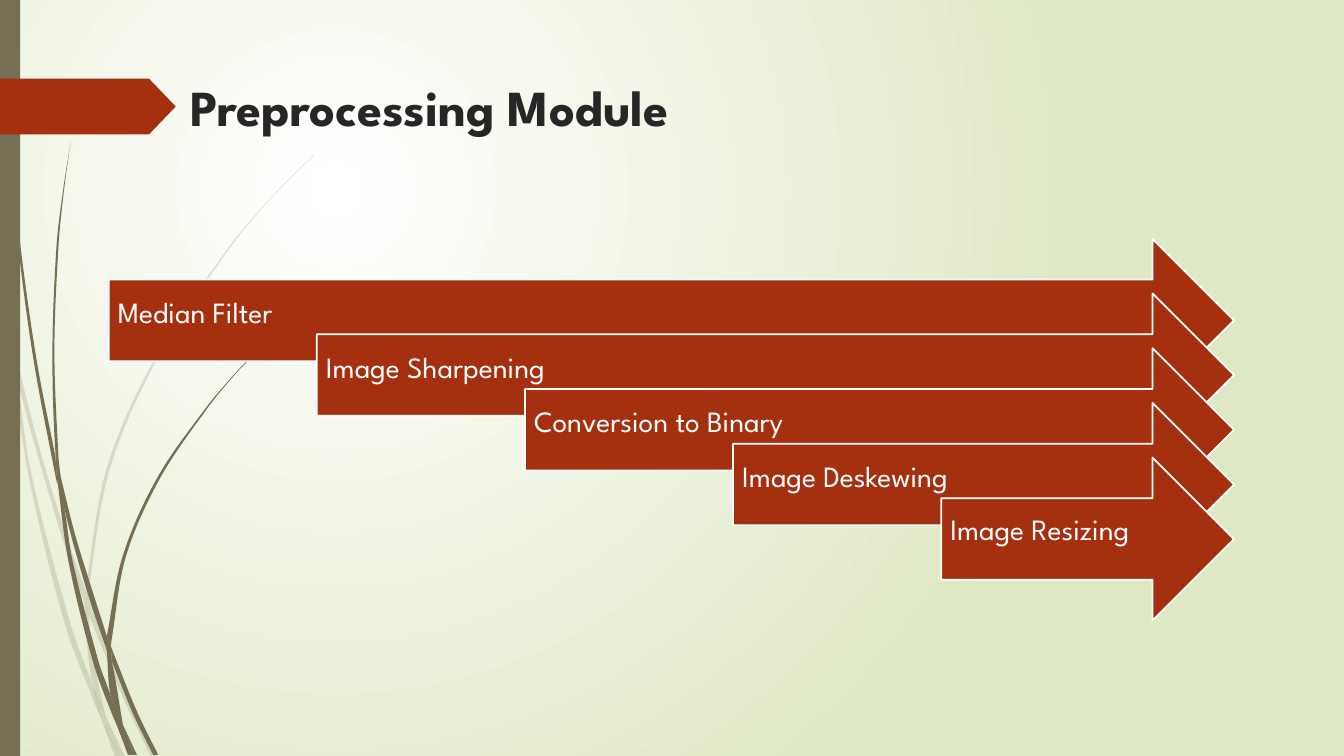
"""Build the Preprocessing Module slide with cascading arrows."""
from dataclasses import dataclass
from math import dist

from lxml import etree
from pptx import Presentation
from pptx.dml.color import RGBColor
from pptx.enum.shapes import MSO_SHAPE
from pptx.enum.text import MSO_ANCHOR, PP_ALIGN
from pptx.oxml.ns import qn
from pptx.util import Cm, Pt

RECT, PENTAGON, ARROW = MSO_SHAPE.RECTANGLE, MSO_SHAPE.PENTAGON, MSO_SHAPE.RIGHT_ARROW
TOP, MIDDLE, LEFT = MSO_ANCHOR.TOP, MSO_ANCHOR.MIDDLE, PP_ALIGN.LEFT
RUST, OLIVE, WHITE, PALE, INK = "A53010", "766F54", "FFFFFF", "DFE8C4", "262626"
FONT = "League Spartan"
UNIT = Cm(0.0254)
FIRST_LEFT, FIRST_TOP = 2.74, 6.02
LAST_LEFT, LAST_TOP = 23.72, 11.53
ARROW_RIGHT, ARROW_HEIGHT = 31.1, 4.11

Point = tuple[float, float]
Points = list[Point]


@dataclass
class Wisp:
    there: Points
    back: Points


@dataclass
class Step:
    label: str
    line_spacing: float = 1.0


STEPS = [
    Step("Median Filter"),
    Step("Image Sharpening"),
    Step("Conversion to Binary"),
    Step("Image Deskewing"),
    Step("Image Resizing", 0.9),
]

FAINT_WISPS = [
    Wisp([(11, 350), (9, 322), (0, 282)], [(0, 299), (10, 344), (11, 350)]),
    Wisp([(84, 599), (58, 522), (17, 376), (14, 345)],
         [(14, 345), (36, 433), (62, 520), (85, 586)]),
    Wisp([(88, 596), (92, 607), (127, 692), (155, 751)],
         [(150, 751), (123, 694), (88, 610)]),
    Wisp([(105, 711), (124, 751)], [(119, 751), (105, 711)]),
    Wisp([(11, 350), (17, 376), (31, 469), (70, 619), (93, 683), (101, 714)],
         [(101, 714), (92, 693), (65, 621), (28, 470), (11, 350)]),
    Wisp([(84, 599), (87, 646), (93, 683), (105, 711)],
         [(105, 711), (91, 646), (88, 610), (84, 599)]),
    Wisp([(85, 586), (85, 584), (107, 461), (158, 348), (228, 244), (268, 197),
          (289, 175), (312, 153)],
         [(312, 154), (290, 175), (268, 198), (229, 245), (160, 349), (110, 462),
          (88, 584), (88, 596)]),
    Wisp([(101, 714), (114, 751)], [(119, 751), (101, 714)]),
    Wisp([(85, 586), (84, 599)], [(88, 610), (88, 596)]),
    Wisp([(93, 683), (105, 711), (119, 751)], [(119, 751), (101, 714), (93, 683)]),
]

DARK_WISPS = [
    Wisp([(3, 0), (4, 48), (7, 110), (17, 233), (33, 355), (56, 477), (57, 481)],
         [(55, 453), (36, 355), (19, 232), (8, 109), (5, 48), (4, 0)]),
    Wisp([(60, 472), (64, 505), (88, 592), (106, 645)],
         [(106, 631), (93, 590), (75, 532), (60, 472)]),
    Wisp([(110, 641), (113, 649), (136, 706), (157, 749)],
         [(152, 749), (132, 708), (111, 656)]),
    Wisp([(57, 477), (64, 505), (72, 556), (98, 657), (110, 691), (117, 722)],
         [(117, 722), (111, 708), (93, 659), (68, 557), (57, 477)]),
    Wisp([(70, 141), (62, 193), (56, 245), (52, 349), (55, 449), (60, 472)],
         [(60, 472), (58, 453), (54, 349), (58, 245), (63, 193), (70, 141)]),
    Wisp([(122, 719), (136, 749)], [(133, 749), (122, 719)]),
    Wisp([(55, 449), (60, 472), (64, 505)], [(64, 505), (57, 477), (55, 449)]),
    Wisp([(260, 344), (245, 358), (231, 373), (204, 405), (156, 474), (122, 551),
          (106, 631)],
         [(110, 641), (111, 633), (125, 552), (158, 476), (205, 406), (231, 374),
          (245, 359), (261, 344)]),
    Wisp([(117, 722), (127, 749)], [(131, 749), (117, 722)]),
    Wisp([(106, 645), (110, 691), (122, 719)], [(122, 719), (111, 656), (106, 645)]),
    Wisp([(106, 631), (106, 645), (111, 656)], [(111, 656), (110, 641)]),
    Wisp([(110, 691), (122, 719), (133, 749)], [(130, 749), (117, 722), (110, 691)]),
]


def rgb(value: str) -> RGBColor:
    return RGBColor.from_string(value)


def apply(target, formats: dict) -> None:
    for name, value in formats.items():
        setattr(target, name, value)


def paint(shape, color: str) -> None:
    shape.shadow.inherit = False
    shape.fill.solid()
    shape.fill.fore_color.rgb = rgb(color)
    shape.line.fill.background()


def handle(start: Point, before: Point, after: Point, length: float) -> Point:
    reach = length / 3 / dist(before, after)
    return tuple(p + (b - a) * reach for p, a, b in zip(start, before, after))


def curves(side: Points) -> list[Points]:
    padded = [side[0], *side, side[-1]]
    return [[handle(b, a, c, dist(b, c)), handle(c, d, b, dist(b, c)), c]
            for a, b, c, d in zip(padded, padded[1:], padded[2:], padded[3:])]


def add_wisp(s, wisp: Wisp, opacity: int) -> None:
    outline = [(round(x * UNIT), round(y * UNIT)) for x, y in wisp.there + wisp.back]
    builder = s.shapes.build_freeform(*outline[0])
    builder.add_line_segments(outline[1:], close=True)
    sp = builder.convert_to_shape()
    paint(sp, OLIVE)
    segments = curves(wisp.there) + [None] + curves(wisp.back)
    lines = list(sp.element.iter(qn("a:lnTo")))
    for line, segment in zip(lines, segments):
        if segment:
            curve = etree.Element(qn("a:cubicBezTo"))
            for x, y in segment:
                etree.SubElement(curve, qn("a:pt"), x=str(round(x * UNIT) - sp.left),
                                 y=str(round(y * UNIT) - sp.top))
            line.getparent().replace(line, curve)
        elif wisp.there[-1] == wisp.back[0]:
            line.getparent().remove(line)
    if opacity < 100:
        color = sp.element.spPr.find(".//" + qn("a:srgbClr"))
        etree.SubElement(color, qn("a:alpha"), val=str(opacity * 1000))


def add_block(s, kind, left: float, top: float, width: float, height: float, color: str):
    sp = s.shapes.add_shape(kind, Cm(left), Cm(top), Cm(width), Cm(height))
    paint(sp, color)
    return sp


def write(tf, text: str, size: float, color: str, anchor, bold: bool = False,
          line_spacing: float = 1.0) -> None:
    apply(tf, {"word_wrap": True, "vertical_anchor": anchor})
    p = tf.paragraphs[0]
    apply(p, {"alignment": LEFT, "line_spacing": line_spacing})
    r = p.add_run()
    r.text = text
    apply(r.font, {"name": FONT, "size": Pt(size), "bold": bold})
    r.font.color.rgb = rgb(color)


def add_step(s, index: int, step: Step) -> None:
    share = index / (len(STEPS) - 1)
    left = FIRST_LEFT + share * (LAST_LEFT - FIRST_LEFT)
    top = FIRST_TOP + share * (LAST_TOP - FIRST_TOP)
    sp = add_block(s, ARROW, left, top, ARROW_RIGHT - left, ARROW_HEIGHT, RUST)
    sp.line.color.rgb = rgb(WHITE)
    sp.line.width = Pt(1.25)
    apply(sp.text_frame, {"margin_left": Cm(0.23), "margin_top": Cm(0.23),
                          "margin_right": Cm(0.71), "margin_bottom": Cm(0.66)})
    write(sp.text_frame, step.label, 21, WHITE, MIDDLE, line_spacing=step.line_spacing)


def set_background(s) -> None:
    fill = s.background.fill
    fill.gradient()
    for stop, color in zip(fill.gradient_stops, (WHITE, PALE)):
        stop.color.rgb = rgb(color)
    lin = s.element.find(".//" + qn("a:lin"))
    circle = etree.Element(qn("a:path"), path="circle")
    etree.SubElement(circle, qn("a:fillToRect"), l="50000", t="50000", r="100000", b="100000")
    lin.getparent().replace(lin, circle)


def main() -> None:
    prs = Presentation()
    apply(prs, {"slide_width": Cm(33.87), "slide_height": Cm(19.05)})
    s = prs.slides.add_slide(prs.slide_layouts[5])
    set_background(s)
    for wisps, opacity in ((FAINT_WISPS, 20), (DARK_WISPS, 100)):
        for wisp in wisps:
            add_wisp(s, wisp, opacity)
    add_block(s, RECT, 0, 0, 0.51, 19.05, OLIVE)
    tag = add_block(s, PENTAGON, 0, 1.98, 4.43, 1.41, RUST)
    tag.adjustments[0] = 0.48
    title = s.shapes.title
    apply(title, {"left": Cm(4.55), "top": Cm(1.78), "width": Cm(24.77), "height": Cm(2.18)})
    write(title.text_frame, "Preprocessing Module", 36, INK, TOP, bold=True)
    for index, step in enumerate(STEPS):
        add_step(s, index, step)
    prs.save("out.pptx")


if __name__ == "__main__":
    main()
